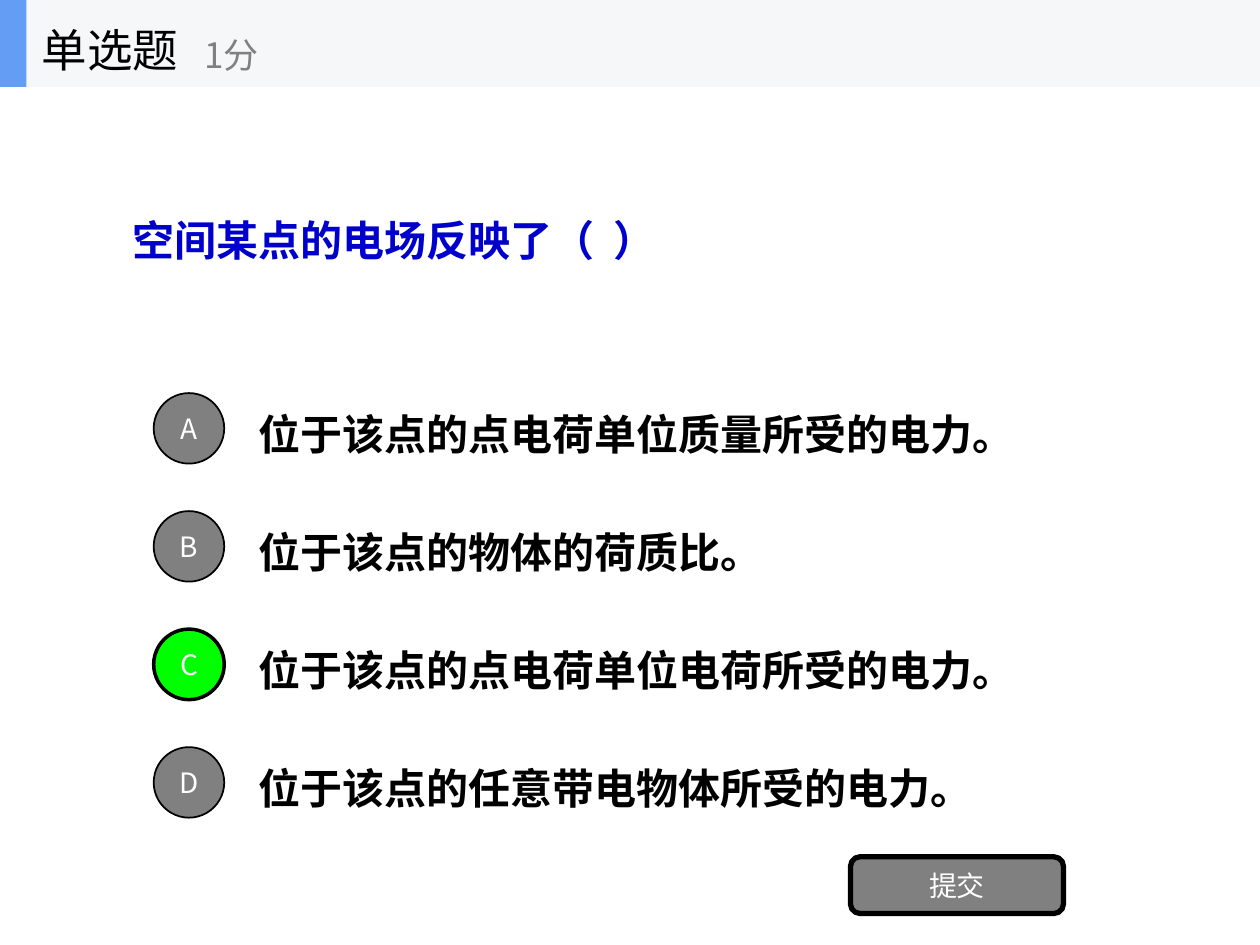
from pptx import Presentation
from pptx.dml.color import RGBColor
from pptx.enum.shapes import MSO_SHAPE as Shape
from pptx.enum.text import MSO_ANCHOR as Anchor, PP_ALIGN as Align
from pptx.util import Inches, Pt

COLORS = {
    "question": "0000CC", "black": "000000", "white": "FFFFFF", "gray": "808080",
    "correct": "00FF00", "header": "F6F7F8", "accent": "639EF4",
}
SERIF, SANS = "Times New Roman", "Noto Sans CJK SC"
MARGIN = Inches(0.05)
FRAME_FORMAT = {
    "word_wrap": True, "vertical_anchor": Anchor.MIDDLE,
    "margin_left": MARGIN, "margin_right": MARGIN,
    "margin_top": MARGIN, "margin_bottom": MARGIN,
}
STATEMENT_FONT = {"name": SERIF, "size": Pt(24), "bold": True}
CONTROL_FONT = {"name": SANS, "size": Pt(16)}
OPTIONS = [
    ("A", "位于该点的点电荷单位质量所受的电力。"),
    ("B", "位于该点的物体的荷质比。"),
    ("C", "位于该点的点电荷单位电荷所受的电力。"),
    ("D", "位于该点的任意带电物体所受的电力。"),
]
ANSWER = "C"


def rgb(color):
    """Return the named palette colour."""
    return RGBColor.from_string(COLORS[color])


def apply_format(target, values):
    """Set each attribute in values on target."""
    for attribute, value in values.items():
        setattr(target, attribute, value)


def write(holder, text, font, color, paragraph_format):
    """Fill a shape's text frame with one formatted paragraph."""
    frame = holder.text_frame
    apply_format(frame, FRAME_FORMAT)
    paragraph = frame.paragraphs[0]
    apply_format(paragraph, paragraph_format)
    run = paragraph.add_run()
    run.text = text
    apply_format(run.font, font)
    run.font.color.rgb = rgb(color)


def add_label(shapes, box, text, font, color):
    """Place left-aligned text in a box."""
    label = shapes.add_textbox(*map(Inches, box))
    write(label, text, font, color, {"line_spacing": 1.2, "alignment": Align.LEFT})


def add_panel(shapes, kind, box, fill, border=0):
    """Place a filled shape, outlined when border is above zero."""
    panel = shapes.add_shape(kind, *map(Inches, box))
    panel.shadow.inherit = False
    panel.fill.solid()
    panel.fill.fore_color.rgb = rgb(fill)
    if border:
        panel.line.color.rgb = rgb("black")
        panel.line.width = Pt(border)
    else:
        panel.line.fill.background()
    return panel


def add_control(shapes, kind, box, text, fill, border):
    """Place an outlined control with a centred white caption."""
    control = add_panel(shapes, kind, box, fill, border)
    write(control, text, CONTROL_FONT, "white", {"alignment": Align.CENTER})


def add_header(slide, box):
    """Place the grouped header band with question type and score."""
    left, top, width, height = box
    header = slide.shapes.add_group_shape().shapes
    add_panel(header, Shape.RECTANGLE, box, "header")
    add_panel(header, Shape.RECTANGLE, (left, top, 0.21, height), "accent")
    add_label(header, (left + 0.28, top, 2.08, height), "单选题",
              {"name": SANS, "size": Pt(26)}, "black")
    add_label(header, (left + 1.57, top + 0.12, 2.5, 0.56), "1分",
              {"name": SANS, "size": Pt(20)}, "gray")


def add_options(slide, box):
    """Place evenly spaced answer rows, each a letter button and a statement."""
    left, top, width, height = box
    row_height, button, indent = 0.7, 0.56, 0.78
    pitch = (height - row_height) / (len(OPTIONS) - 1)
    for index, (letter, statement) in enumerate(OPTIONS):
        row_top = top + index * pitch
        fill, border = ("correct", 2) if letter == ANSWER else ("gray", 1)
        add_label(slide.shapes, (left + indent, row_top, width - indent, row_height),
                  statement, STATEMENT_FONT, "black")
        add_control(slide.shapes, Shape.OVAL,
                    (left, row_top + (row_height - button) / 2, button, button),
                    letter, fill, border)


def main():
    """Build and save the quiz slide."""
    deck = Presentation()
    deck.slide_width, deck.slide_height = Inches(10), Inches(7.5)
    slide = deck.slides.add_slide(deck.slide_layouts[6])
    add_label(slide.shapes, (1, 0.69, 8, 2.34), "空间某点的电场反映了（  ）",
              STATEMENT_FONT, "question")
    add_options(slide, (1.22, 3.05, 7.78, 3.51))
    add_control(slide.shapes, Shape.ROUNDED_RECTANGLE, (6.75, 6.8, 1.69, 0.45),
                "提交", "gray", 3)
    add_header(slide, (0, 0, 10, 0.69))
    deck.save("out.pptx")


if __name__ == "__main__":
    main()
